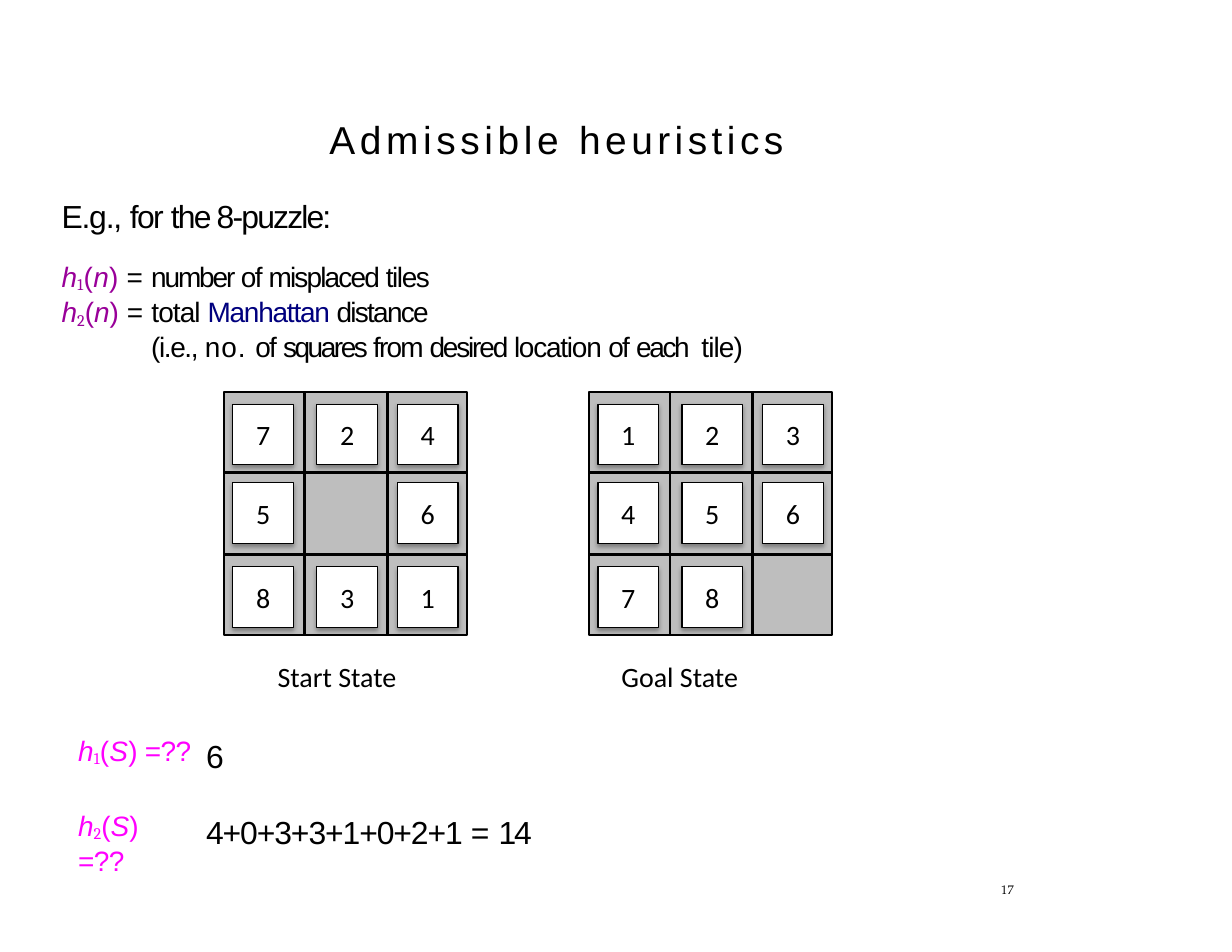
"""Build the admissible heuristics slide with its two 8-puzzle boards."""
import dataclasses

import pptx
import pptx.dml.color
import pptx.enum.shapes
import pptx.enum.text
import pptx.oxml
import pptx.oxml.ns
import pptx.util

Inches = pptx.util.Inches
Pt = pptx.util.Pt


@dataclasses.dataclass(frozen=True)
class Theme:
    """Colours, fonts and sizes of the slide."""
    ink: str = "000000"
    paper: str = "FFFFFF"
    board: str = "BEBEBE"
    definition: str = "990099"
    term: str = "00007E"
    question: str = "FF00FF"
    sans: str = "Arial"
    label: str = "Calibri"
    index: str = "Cambria"
    folio: str = "TeX Gyre Pagella"
    title_size: float = 25
    lead_size: float = 20.5
    text_size: float = 18
    folio_size: float = 8
    grid_width: float = 1.5
    tile_width: float = 0.75


THEME = Theme()
BOARD_SIDE = 2.17
BOARD_TOP = 3.5
TILE_SIDE = 0.54
TILE_COLUMNS = (0.08, 0.83, 1.55)
TILE_ROWS = (0.11, 0.81, 1.56)
COLUMN_LINES = (0.72, 1.46)
ROW_LINES = (0.72, 1.45)
START = ("724", "5 6", "831")
GOAL = ("123", "456", "78 ")


def rgb(code):
    """Return the colour for a hex code."""
    return pptx.dml.color.RGBColor.from_string(code)


def write(paragraph, text, *, size=THEME.text_size, font=THEME.sans, color=THEME.ink,
          spacing=0, italic=False, baseline=0):
    """Append one formatted run to a paragraph."""
    run = paragraph.add_run()
    run.text = text
    run.font.size = Pt(size)
    run.font.name = font
    run.font.italic = italic
    run.font.color.rgb = rgb(color)
    properties = run.font._element
    if spacing:
        properties.set("spc", str(round(spacing * 100)))
    if baseline:
        properties.set("baseline", str(baseline * 1000))


def write_spaced(paragraph, pieces, **style):
    """Write pieces of text, each with its own letter spacing."""
    for text, spacing in pieces:
        write(paragraph, text, spacing=spacing, **style)


def write_heuristic(paragraph, number, argument, color, spacing):
    """Write a subscripted heuristic applied to an argument."""
    style = dict(color=color, spacing=spacing)
    write(paragraph, "h", italic=True, **style)
    write(paragraph, number, font=THEME.index, baseline=-12, **style)
    write(paragraph, "(", **style)
    write(paragraph, argument, italic=True, **style)
    write(paragraph, ")", **style)


def add_text_frame(slide, left, top, width, height, insets=(0, 0, 0, 0)):
    """Add a wrapping text box and return its frame."""
    frame = slide.shapes.add_textbox(
        Inches(left), Inches(top), Inches(width), Inches(height)).text_frame
    frame.word_wrap = True
    frame.margin_left, frame.margin_top, frame.margin_right, frame.margin_bottom = map(
        Inches, insets)
    return frame


def lay_out(paragraph, indent=0.01, before=0, line=None):
    """Set the indent and spacing of a paragraph and return it."""
    properties = paragraph._p.get_or_add_pPr()
    properties.set("marL", str(Inches(indent)))
    properties.set("indent", "0")
    paragraph.space_before = Pt(before)
    if line:
        paragraph.line_spacing = Pt(line)
    return paragraph


def add_heading(slide):
    """Add the slide title and the page number."""
    title = add_text_frame(slide, 0.59, 1.11, 8.45, 0.39).paragraphs[0]
    write_spaced(lay_out(title, indent=2.35, line=24.1),
                 (("Admissible ", 3), ("heuristics", 2.9)), size=THEME.title_size)
    folio = add_text_frame(slide, 8.91, 7.89, 0.17, 0.14).paragraphs[0]
    write(lay_out(folio, indent=0.03, line=8.8), "17",
          size=THEME.folio_size, font=THEME.folio, spacing=0.2)


def add_definitions(slide):
    """Add the definitions of the two heuristics."""
    frame = add_text_frame(slide, 0.54, 1.76, 6.92, 1.48)
    write_spaced(lay_out(frame.paragraphs[0]),
                 (("E.g., ", -0.8), ("for ", -1.1), ("the 8-puzzle:", -1.2)),
                 size=THEME.lead_size)
    misplaced = lay_out(frame.add_paragraph(), before=15.6)
    write_heuristic(misplaced, "1", "n", THEME.definition, 0.2)
    write_spaced(misplaced, ((" = ", 0.1), ("number ", -1.4), ("of ", -1.1),
                             ("misplaced ", -1.2), ("tiles", -0.9)))
    manhattan = lay_out(frame.add_paragraph(), before=0.3)
    write_heuristic(manhattan, "2", "n", THEME.definition, -0.1)
    write_spaced(manhattan, ((" = ", 0.1), ("total ", -0.6)))
    write(manhattan, "Manhattan ", color=THEME.term, spacing=-0.8)
    write(manhattan, "distance", spacing=-1.1)
    write_spaced(lay_out(frame.add_paragraph(), indent=0.81, before=0.2),
                 (("(i.e., ", -0.9), ("no. ", 0.6), ("of ", -1.1), ("squares ", -1.6),
                  ("from ", -1.2), ("desired ", -1.4), ("location ", -0.8),
                  ("of ", -1.1), ("each", -1.5), (" ", 2.5), ("tile)", -0.6)))


def add_square(slide, left, top, side, fill, line_width):
    """Add an outlined square without a shadow."""
    square = slide.shapes.add_shape(
        pptx.enum.shapes.MSO_SHAPE.RECTANGLE,
        Inches(left), Inches(top), Inches(side), Inches(side))
    square.shadow.inherit = False
    square.fill.solid()
    square.fill.fore_color.rgb = rgb(fill)
    square.line.color.rgb = rgb(THEME.ink)
    square.line.width = Pt(line_width)
    return square


def add_tile(slide, left, top, digit):
    """Add a numbered tile with a soft shadow below it."""
    tile = add_square(slide, left, top, TILE_SIDE, THEME.paper, THEME.tile_width)
    effects = tile._element.spPr.find(pptx.oxml.ns.qn("a:effectLst"))
    effects.append(pptx.oxml.parse_xml(
        f'<a:outerShdw {pptx.oxml.ns.nsdecls("a")} blurRad="{Pt(3.1)}" dist="{Pt(1.8)}" '
        f'dir="5400000" rotWithShape="0"><a:srgbClr val="{THEME.ink}">'
        '<a:alpha val="35000"/></a:srgbClr></a:outerShdw>'))
    tile.text_frame.vertical_anchor = pptx.enum.text.MSO_ANCHOR.MIDDLE
    paragraph = tile.text_frame.paragraphs[0]
    paragraph.alignment = pptx.enum.text.PP_ALIGN.CENTER
    write(paragraph, digit, font=THEME.label)


def add_rule(slide, x1, y1, x2, y2):
    """Add one straight grid line."""
    rule = slide.shapes.add_connector(
        pptx.enum.shapes.MSO_CONNECTOR.STRAIGHT,
        Inches(x1), Inches(y1), Inches(x2), Inches(y2))
    rule.line.color.rgb = rgb(THEME.ink)
    rule.line.width = Pt(THEME.grid_width)
    rule._element.spPr.append(pptx.oxml.parse_xml(
        f'<a:effectLst {pptx.oxml.ns.nsdecls("a")}/>'))


def add_board(slide, left, rows, caption, caption_left):
    """Add a puzzle board with its tiles and caption."""
    add_square(slide, left, BOARD_TOP, BOARD_SIDE, THEME.board, THEME.grid_width)
    for offset in ROW_LINES:
        add_rule(slide, left, BOARD_TOP + offset, left + BOARD_SIDE, BOARD_TOP + offset)
    for offset in COLUMN_LINES:
        add_rule(slide, left + offset, BOARD_TOP, left + offset, BOARD_TOP + BOARD_SIDE)
    for row, row_offset in zip(rows, TILE_ROWS):
        for digit, column_offset in zip(row, TILE_COLUMNS):
            if digit != " ":
                add_tile(slide, left + column_offset, BOARD_TOP + row_offset, digit)
    frame = add_text_frame(slide, caption_left, 5.84, 1.28, 0.4, (0.1, 0.05, 0, 0.05))
    write(frame.paragraphs[0], caption, font=THEME.label)


def add_questions(slide):
    """Add the two questions and their answers."""
    insets = (0.1, 0.05, 0, 0.05)
    first = add_text_frame(slide, 0.58, 6.5, 1.24, 0.4, insets).paragraphs[0]
    write_heuristic(lay_out(first, indent=0.02, before=9.1), "1", "S", THEME.question, 0.1)
    write(first, " =??", color=THEME.question, spacing=-0.4)
    second = add_text_frame(slide, 0.58, 7.17, 1.24, 0.41, insets).paragraphs[0]
    write_heuristic(lay_out(second, indent=0.02, line=21.9), "2", "S", THEME.question, -0.2)
    second.add_line_break()
    write(second, "=??", color=THEME.question, spacing=-0.4)
    answers = add_text_frame(slide, 1.83, 6.58, 4.57, 1.04)
    write(lay_out(answers.paragraphs[0]), "6", size=THEME.lead_size, spacing=-1.5)
    write_spaced(lay_out(answers.add_paragraph(), before=23.8),
                 (("4+0+3+3+1+0+2+1 ", -0.7), ("= ", 0.1), ("14", -1.5)),
                 size=THEME.lead_size)


def main():
    """Build and save the slide."""
    deck = pptx.Presentation()
    deck.slide_width, deck.slide_height = Inches(11), Inches(8.5)
    slide = deck.slides.add_slide(deck.slide_layouts[6])
    add_heading(slide)
    add_definitions(slide)
    add_board(slide, 2, START, "Start State", 2.38)
    add_board(slide, 5.26, GOAL, "Goal State", 5.45)
    add_questions(slide)
    deck.save("out.pptx")


if __name__ == "__main__":
    main()
